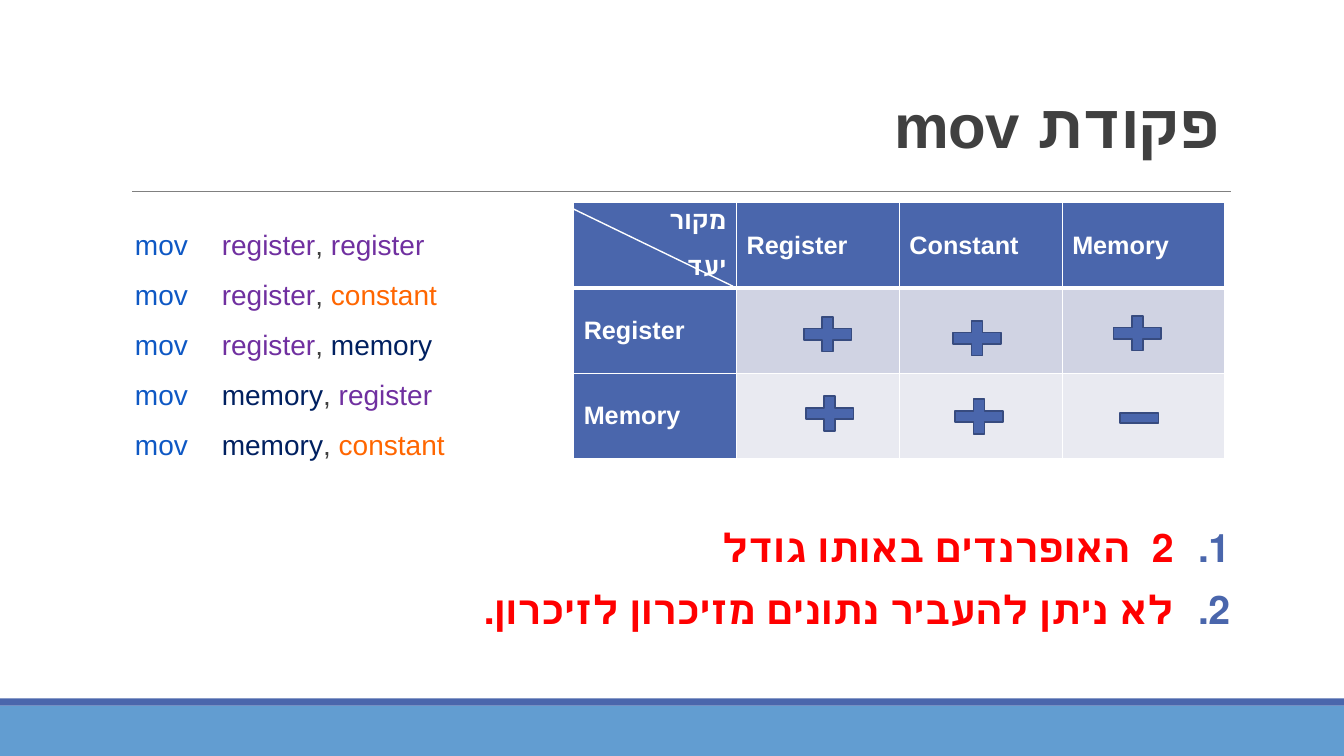
from pptx import Presentation
from pptx.dml.color import RGBColor
from pptx.enum.shapes import MSO_CONNECTOR, MSO_SHAPE
from pptx.enum.text import MSO_ANCHOR, PP_ALIGN
from pptx.oxml.ns import qn
from pptx.util import Inches, Pt
from lxml.etree import SubElement

FONT = "Arial"
WHITE = RGBColor(0xFF, 0xFF, 0xFF)
BLUE = RGBColor(0x4A, 0x66, 0xAC)
DARK_BLUE = RGBColor(0x37, 0x4B, 0x7F)
LIGHT_BLUE = RGBColor(0x62, 0x9D, 0xD1)
GRAY = RGBColor(0x80, 0x80, 0x80)
DARK_GRAY = RGBColor(0x40, 0x40, 0x40)
RED = RGBColor(0xFF, 0x00, 0x00)
BAND_DARK = RGBColor(0xD0, 0xD3, 0xE3)
BAND_LIGHT = RGBColor(0xE9, 0xEA, 0xF1)
MOV_COLOR = RGBColor(0x0E, 0x58, 0xC4)
OPERAND_COLORS = {
    "register": RGBColor(0x70, 0x30, 0xA0),
    "constant": RGBColor(0xFF, 0x66, 0x00),
    "memory": RGBColor(0x00, 0x20, 0x60),
}

MOV_FORMS = [
    ("register", "register"),
    ("register", "constant"),
    ("register", "memory"),
    ("memory", "register"),
    ("memory", "constant"),
]
RULES = ["2  האופרנדים באותו גודל", "לא ניתן להעביר נתונים מזיכרון לזיכרון."]
TABLE_ROWS = [
    (["מקור\nיעד", "Register", "Constant", "Memory"], BLUE),
    (["Register", "", "", ""], BAND_DARK),
    (["Memory", "", "", ""], BAND_LIGHT),
]
PLUS_POSITIONS = [(7.89, 3.08), (7.91, 3.87), (10.96, 3.07), (9.37, 3.12), (9.39, 3.9)]


def add_preset(slide, preset, left, top, width, height, fill, outline=None):
    shape = slide.shapes.add_shape(
        preset, Inches(left), Inches(top), Inches(width), Inches(height))
    shape.shadow.inherit = False
    shape.fill.solid()
    shape.fill.fore_color.rgb = fill
    if outline is None:
        shape.line.fill.background()
    else:
        shape.line.color.rgb = outline
        shape.line.width = Pt(1.25)


def add_line(slide, start, end, color, width):
    connector = slide.shapes.add_connector(
        MSO_CONNECTOR.STRAIGHT, *map(Inches, start), *map(Inches, end))
    connector.line.color.rgb = color
    connector.line.width = Pt(width)
    SubElement(connector._element.spPr, qn("a:effectLst"))


def add_text_frame(slide, left, top, width, height, side_margin=0.0, anchor=MSO_ANCHOR.TOP):
    box = slide.shapes.add_textbox(
        Inches(left), Inches(top), Inches(width), Inches(height))
    frame = box.text_frame
    frame.word_wrap = True
    frame.vertical_anchor = anchor
    frame.margin_left = frame.margin_right = Inches(side_margin)
    return frame


def next_paragraph(frame, index):
    return frame.add_paragraph() if index else frame.paragraphs[0]


def set_right_to_left(paragraph):
    paragraph.alignment = PP_ALIGN.RIGHT
    paragraph._p.get_or_add_pPr().set("rtl", "1")


def set_font(font, size, color=None, bold=False):
    font.name = FONT
    font.size = Pt(size)
    font.bold = bold
    if color is not None:
        font.color.rgb = color


def set_list_item(paragraph, indent, tag, **attributes):
    paragraph.line_spacing = 0.9
    paragraph.space_before = Pt(12)
    paragraph.space_after = Pt(2)
    properties = paragraph._p.get_or_add_pPr()
    properties.set("marL", str(Inches(indent)))
    properties.set("indent", str(-Inches(indent)))
    bullet_color = SubElement(properties, qn("a:buClr"))
    SubElement(bullet_color, qn("a:srgbClr"), val=str(BLUE))
    SubElement(properties, qn(tag), **attributes)


def add_title(slide, text):
    frame = add_text_frame(slide, 8.6, 0.31, 3.6, 1.34, 0.1, MSO_ANCHOR.BOTTOM)
    paragraph = frame.paragraphs[0]
    set_right_to_left(paragraph)
    paragraph.line_spacing = 0.85
    set_font(paragraph.font, 44, DARK_GRAY, bold=True)
    run = paragraph.add_run()
    run.text = text
    run._r.get_or_add_rPr().set("spc", "-50")


def add_mov_forms(slide):
    frame = add_text_frame(slide, 1.2, 2.25, 4.3, 2.5)
    for index, (target, source) in enumerate(MOV_FORMS):
        paragraph = next_paragraph(frame, index)
        set_list_item(paragraph, 0.1, "a:buChar", char=" ")
        set_font(paragraph.font, 20)
        for text, color in [("mov\t", MOV_COLOR), (target, OPERAND_COLORS[target]),
                            (", ", DARK_GRAY), (source, OPERAND_COLORS[source])]:
            run = paragraph.add_run()
            run.text = text
            run.font.color.rgb = color


def add_rules(slide):
    frame = add_text_frame(slide, 1.2, 5.2, 11, 1.3)
    for index, text in enumerate(RULES):
        paragraph = next_paragraph(frame, index)
        paragraph.text = text
        set_right_to_left(paragraph)
        set_list_item(paragraph, 0.56, "a:buAutoNum", type="arabicPeriod")
        set_font(paragraph.font, 28, RED, bold=True)


def set_borders(cell, bottom_width):
    properties = cell._tc.get_or_add_tcPr()
    for side, width in [("L", 1), ("R", 1), ("T", 1), ("B", bottom_width)]:
        border = SubElement(properties, qn(f"a:ln{side}"), w=str(Pt(width)))
        fill = SubElement(border, qn("a:solidFill"))
        SubElement(fill, qn("a:srgbClr"), val=str(WHITE))


def fill_cell(cell, text, color, bottom_width):
    set_borders(cell, bottom_width)
    cell.fill.solid()
    cell.fill.fore_color.rgb = color
    cell.vertical_anchor = MSO_ANCHOR.MIDDLE
    cell.text = text
    for paragraph in cell.text_frame.paragraphs:
        set_font(paragraph.font, 18, WHITE, bold=True)


def add_operand_table(slide):
    table = slide.shapes.add_table(
        3, 4, Inches(5.69), Inches(2.01), Inches(6.46), Inches(2.54)).table
    table.horz_banding = False
    for row_index, (texts, row_color) in enumerate(TABLE_ROWS):
        for column_index, text in enumerate(texts):
            color = BLUE if column_index == 0 else row_color
            fill_cell(table.cell(row_index, column_index), text, color,
                      3 if row_index == 0 else 1)
    corner = table.cell(0, 0)
    corner.margin_top = corner.margin_bottom = 0
    for paragraph in corner.text_frame.paragraphs:
        set_right_to_left(paragraph)
    corner.text_frame.paragraphs[1].space_before = Pt(15)


def main():
    presentation = Presentation()
    presentation.slide_width = Inches(13.33)
    presentation.slide_height = Inches(7.5)
    slide = presentation.slides.add_slide(presentation.slide_layouts[6])

    add_preset(slide, MSO_SHAPE.RECTANGLE, 0, 7, 13.33, 0.5, LIGHT_BLUE)
    add_preset(slide, MSO_SHAPE.RECTANGLE, 0, 6.93, 13.33, 0.07, BLUE)
    add_line(slide, (1.31, 1.9), (12.21, 1.9), GRAY, 0.5)
    add_title(slide, "פקודת mov")
    add_mov_forms(slide)
    add_rules(slide)
    add_operand_table(slide)
    for left, top in PLUS_POSITIONS:
        add_preset(slide, MSO_SHAPE.MATH_PLUS, left, top, 0.64, 0.47, BLUE, DARK_BLUE)
    add_line(slide, (5.68, 2.07), (7.27, 2.84), WHITE, 1)
    add_preset(slide, MSO_SHAPE.MATH_MINUS, 11.04, 3.94, 0.52, 0.41, BLUE, DARK_BLUE)

    presentation.save("out.pptx")


if __name__ == "__main__":
    main()
